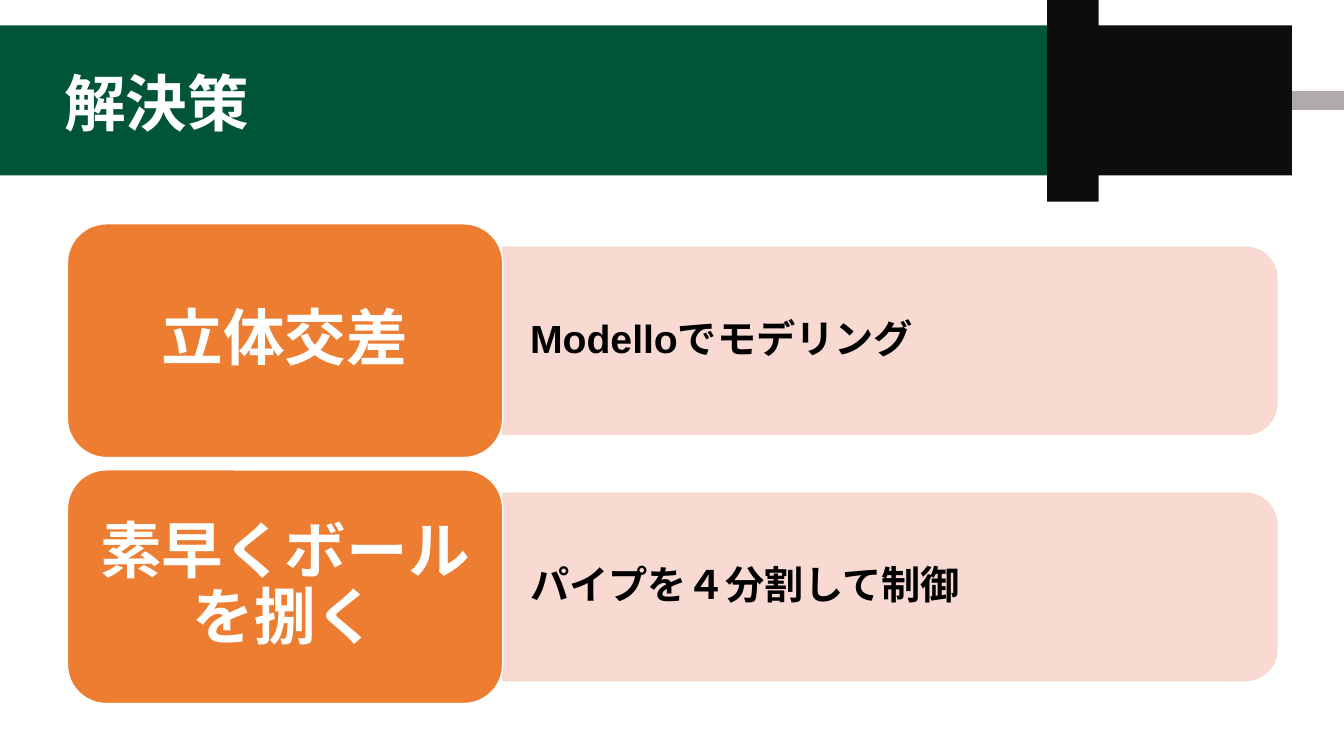
import pptx
import pptx.util
import pptx.oxml.ns
import pptx.dml.color
import pptx.enum.lang
import pptx.enum.shapes
import pptx.enum.text
import lxml.etree

Cm = pptx.util.Cm
Pt = pptx.util.Pt
RGBColor = pptx.dml.color.RGBColor
Kind = pptx.enum.shapes.MSO_SHAPE
Align = pptx.enum.text.PP_ALIGN

GREEN = RGBColor(0x00, 0x54, 0x38)
BLACK = RGBColor(0x0D, 0x0D, 0x0D)
GREY = RGBColor(0xAF, 0xAB, 0xAB)
ORANGE = RGBColor(0xED, 0x7D, 0x31)
PINK = RGBColor(0xF8, 0xD7, 0xCE)
WHITE = RGBColor(0xFF, 0xFF, 0xFF)
INK = RGBColor(0x00, 0x00, 0x00)


class Deck:
    font = "Arial"
    large = Pt(44)
    small = Pt(28)

    def __init__(self):
        self.prs = pptx.Presentation()
        self.prs.slide_width = Cm(33.87)
        self.prs.slide_height = Cm(19.05)
        self.slide = self.prs.slides.add_slide(self.prs.slide_layouts[5])

    def shape(self, kind, box, fill, line=None):
        item = self.slide.shapes.add_shape(kind, *map(Cm, box))
        item.shadow.inherit = False
        item.fill.solid()
        item.fill.fore_color.rgb = fill
        if line is None:
            item.line.fill.background()
        else:
            item.line.color.rgb = line
            item.line.width = Pt(1)
        return item

    def text(self, item, lines, size, color, align, pad):
        frame = item.text_frame
        frame.word_wrap = True
        frame.auto_size = pptx.enum.text.MSO_AUTO_SIZE.NONE
        frame.vertical_anchor = pptx.enum.text.MSO_ANCHOR.MIDDLE
        frame.margin_left = frame.margin_right = Cm(pad[0])
        frame.margin_top = frame.margin_bottom = Cm(pad[1])
        para = frame.paragraphs[0]
        para.alignment = align
        para.line_spacing = 0.9
        for i, line in enumerate(lines):
            if i:
                para.add_line_break()
            run = para.add_run()
            run.text = line
            run.font.name = self.font
            run.font.size = size
            run.font.bold = True
            run.font.color.rgb = color
            run.font.language_id = pptx.enum.lang.MSO_LANGUAGE_ID.JAPANESE

    def title(self, words, box):
        item = self.slide.shapes.title
        item.left, item.top, item.width, item.height = map(Cm, box)
        self.text(item, [words], self.large, WHITE, Align.LEFT, (0.25, 0.13))
        self.slide.shapes[-1].element.addnext(item.element)

    def panel(self, words, left, top, width, height):
        shift = (width - height) / 2
        box = (left + shift, top - shift, height, width)
        item = self.shape(Kind.ROUND_2_SAME_RECTANGLE, box, PINK, PINK)
        item.rotation = 90
        for color in item.element.spPr.iter(pptx.oxml.ns.qn("a:srgbClr")):
            alpha = lxml.etree.SubElement(color, pptx.oxml.ns.qn("a:alpha"))
            alpha.set("val", "90000")
        area = map(Cm, (left, top, width, height))
        note = self.slide.shapes.add_textbox(*area)
        self.text(note, [words], self.small, INK, Align.LEFT, (0.69, 0.36))

    def label(self, lines, box):
        item = self.shape(Kind.ROUNDED_RECTANGLE, box, ORANGE, WHITE)
        self.text(item, lines, self.large, WHITE, Align.CENTER, (0.46, 0.23))


def main():
    deck = Deck()
    header = [
        ((0, 0.64, 26.39, 3.78), GREEN),
        ((26.39, 0, 1.3, 5.08), BLACK),
        ((31.75, 2.29, 2.12, 0.48), GREY),
        ((27.66, 0.64, 4.9, 3.78), BLACK),
    ]
    for box, fill in header:
        deck.shape(Kind.RECTANGLE, box, fill)
    deck.title("解決策", (1.37, 0.84, 29.21, 3.68))

    rows = [
        (["立体交差"], "Modelloでモデリング"),
        (["素早くボール", "を捌く"], "パイプを４分割して制御"),
    ]
    for i, (lines, words) in enumerate(rows):
        top = 5.64 + i * 6.2
        deck.panel(words, 12.67, top + 0.59, 19.51, 4.72)
        deck.label(lines, (1.7, top, 10.97, 5.89))
    deck.prs.save("out.pptx")


if __name__ == "__main__":
    main()
